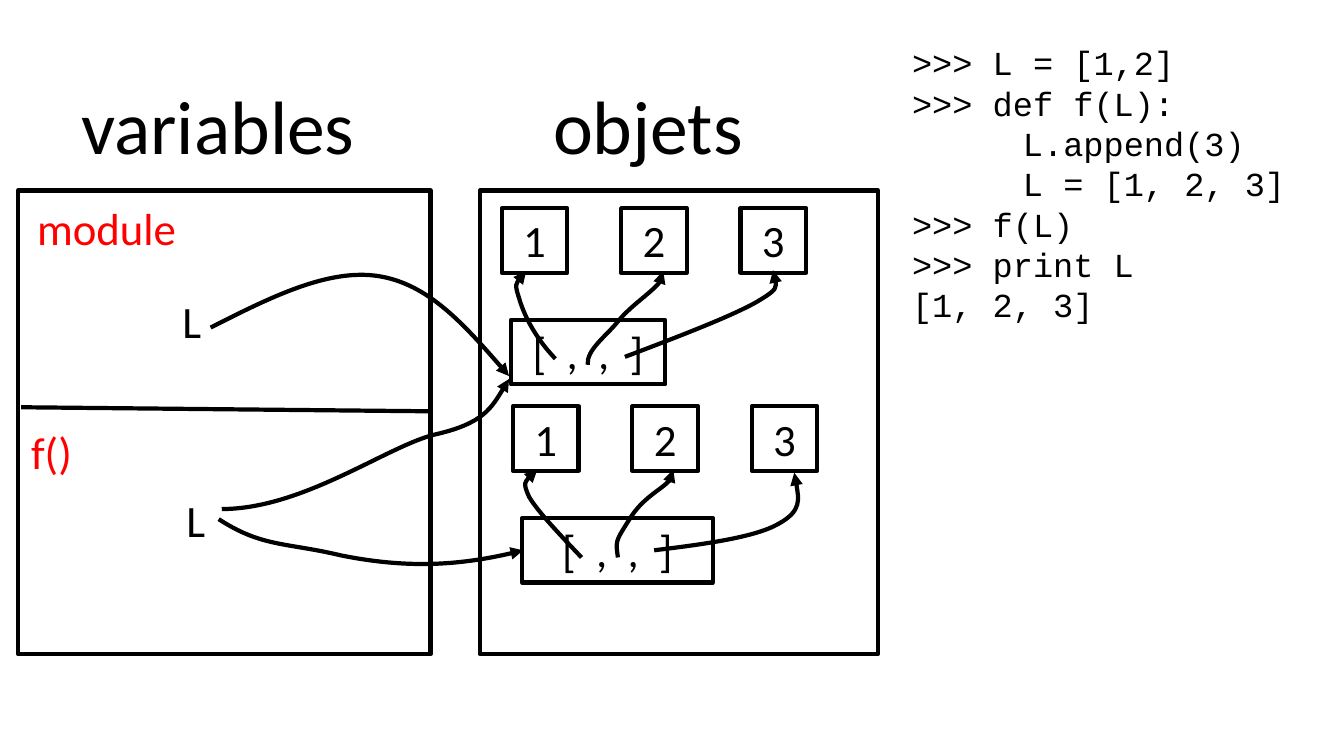
from lxml.etree import SubElement
from pptx import Presentation
from pptx.dml.color import RGBColor
from pptx.enum.shapes import MSO_CONNECTOR, MSO_SHAPE
from pptx.enum.text import MSO_ANCHOR, MSO_AUTO_SIZE, PP_ALIGN
from pptx.oxml.ns import qn
from pptx.util import Pt

COLORS = {"ink": "000000", "scope": "FF0000", "paper": "FFFFFF"}
STROKE = 3
CELL_WIDTH, CELL_HEIGHT, CELL_STEP = 46.8, 46.1, 85.3
LIST_DROP = 79.8

CODE = [
    ">>> L = [1,2]",
    ">>> def f(L):",
    "\t   L.append(3)",
    "\t   L = [1, 2, 3]",
    ">>> f(L)",
    ">>> print L",
    "[1, 2, 3]",
]

LABELS = [
    ("variables", 51, 52.6, 272, 54, "ink"),
    ("objets", 388, 52.6, 272, 54, "ink"),
    ("module", 19.4, 139.7, 152, 32, "scope"),
    ("f()", 15.1, 299.5, 152, 32, "scope"),
    ("L", 123.1, 205.9, 42.5, 32, "ink"),
    ("L", 126, 348.5, 42.5, 32, "ink"),
]

LISTS = [
    {
        "left": 358.4, "top": 148.7, "width": 110.2, "fill": "paper",
        "references": [
            [(396.7, 256.3), (380.9, 239.8), (373.7, 223.2), (370.8, 213.1),
             (367.2, 202.3), (370.8, 198), (375.8, 193.7)],
            [(419.8, 260.6), (419, 249.8), (432.7, 240.5), (441.4, 229.7),
             (450.7, 218.2), (478.8, 200.2), (473.8, 193.7)],
            [(446.4, 254.9), (484.6, 240.5), (522, 226.1), (540, 216),
             (557.3, 205.9), (555.1, 199.4), (552.2, 193)],
        ],
    },
    {
        "left": 366.4, "top": 290.2, "width": 136.1, "fill": None,
        "references": [
            [(415.4, 398.2), (399.6, 381.6), (383.8, 365), (378, 355),
             (373, 344.2), (378, 339.8), (383.8, 335.5)],
            [(441.4, 398.2), (439.9, 386.6), (439.2, 387.4), (449.3, 371.5),
             (458.6, 355.7), (486.7, 342), (481, 335.5)],
            [(467.3, 393.1), (503.3, 388.8), (539.3, 383.8), (555.8, 374.4),
             (573.1, 365), (570.2, 351.4), (567.4, 337.7)],
        ],
    },
]

BINDINGS = [
    [(150.5, 234), (193, 212.4), (234.7, 191.5), (270.7, 197.3),
     (306, 203), (334.8, 235.4), (363.6, 268.6)],
    [(158.4, 363.6), (216.7, 363.6), (277.2, 318.2), (311, 310.3),
     (345.6, 302.4), (354.2, 286.6), (363.6, 270.7)],
    [(156.2, 370.8), (187.2, 391), (204.5, 387.4), (243.4, 396.7),
     (290.2, 406.1), (331.9, 403.9), (373.7, 393.1)],
]


def color(name):
    return RGBColor.from_string(COLORS[name])


def draw_line(line):
    line.color.rgb = color("ink")
    line.width = Pt(STROKE)


def write(frame, lines, size, font="Calibri", ink="ink", align=PP_ALIGN.LEFT):
    frame.word_wrap = True
    frame.auto_size = MSO_AUTO_SIZE.SHAPE_TO_FIT_TEXT
    for index, text in enumerate(lines):
        paragraph = frame.paragraphs[0] if index == 0 else frame.add_paragraph()
        paragraph.alignment = align
        run = paragraph.add_run()
        run.text = text
        run.font.size = Pt(size)
        run.font.name = font
        run.font.color.rgb = color(ink)


def add_text(shapes, lines, left, top, width, height, size, **style):
    label = shapes.add_textbox(Pt(left), Pt(top), Pt(width), Pt(height))
    write(label.text_frame, lines, size, **style)


def add_box(shapes, left, top, width, height, text=None, fill=None):
    box = shapes.add_shape(MSO_SHAPE.RECTANGLE, Pt(left), Pt(top), Pt(width), Pt(height))
    box.shadow.inherit = False
    if fill:
        box.fill.solid()
        box.fill.fore_color.rgb = color(fill)
    else:
        box.fill.background()
    draw_line(box.line)
    if text:
        box.text_frame.vertical_anchor = MSO_ANCHOR.TOP
        write(box.text_frame, [text], 32, align=PP_ALIGN.CENTER)


def add_curved_arrow(shapes, points):
    start, *rest = [(Pt(x), Pt(y)) for x, y in points]
    builder = shapes.build_freeform(*start)
    builder.add_line_segments(rest, close=False)
    arrow = builder.convert_to_shape()
    arrow.shadow.inherit = False
    arrow.fill.background()
    draw_line(arrow.line)
    outline = arrow._element.find(".//" + qn("a:path"))
    segments = outline.findall(qn("a:lnTo"))
    for first in range(0, len(segments), 3):
        curve = SubElement(outline, qn("a:cubicBezTo"))
        for segment in segments[first:first + 3]:
            curve.append(segment[0])
            outline.remove(segment)
    SubElement(arrow.line._get_or_add_ln(), qn("a:tailEnd"), type="triangle")


def add_divider(shapes, start, end):
    divider = shapes.add_connector(
        MSO_CONNECTOR.STRAIGHT, Pt(start[0]), Pt(start[1]), Pt(end[0]), Pt(end[1]))
    draw_line(divider.line)
    SubElement(divider._element.spPr, qn("a:effectLst"))


def add_list(slide, left, top, width, fill, references):
    shapes = slide.shapes.add_group_shape().shapes
    for index, number in enumerate("123"):
        add_box(shapes, left + index * CELL_STEP, top, CELL_WIDTH, CELL_HEIGHT, number)
    add_box(shapes, left + 6.6, top + LIST_DROP, width, CELL_HEIGHT, "[  ,  ,  ]", fill)
    for reference in references:
        add_curved_arrow(shapes, reference)


def main():
    presentation = Presentation()
    presentation.slide_width = Pt(960)
    presentation.slide_height = Pt(540)
    slide = presentation.slides.add_slide(presentation.slide_layouts[6])
    shapes = slide.shapes

    add_text(shapes, CODE, 644.4, 26.6, 425, 240, 24, font="Courier New")
    add_box(shapes, 342.7, 136.1, 284.4, 331.2)
    add_box(shapes, 13, 136.1, 294.5, 331.2)
    add_divider(shapes, (15.1, 290.9), (307.4, 293.8))
    for text, left, top, width, size, ink in LABELS:
        add_text(shapes, [text], left, top, width, size * 1.22 + 7.2, size, ink=ink)
    for content in LISTS:
        add_list(slide, **content)
    for binding in BINDINGS:
        add_curved_arrow(shapes, binding)

    presentation.save("out.pptx")


if __name__ == "__main__":
    main()
